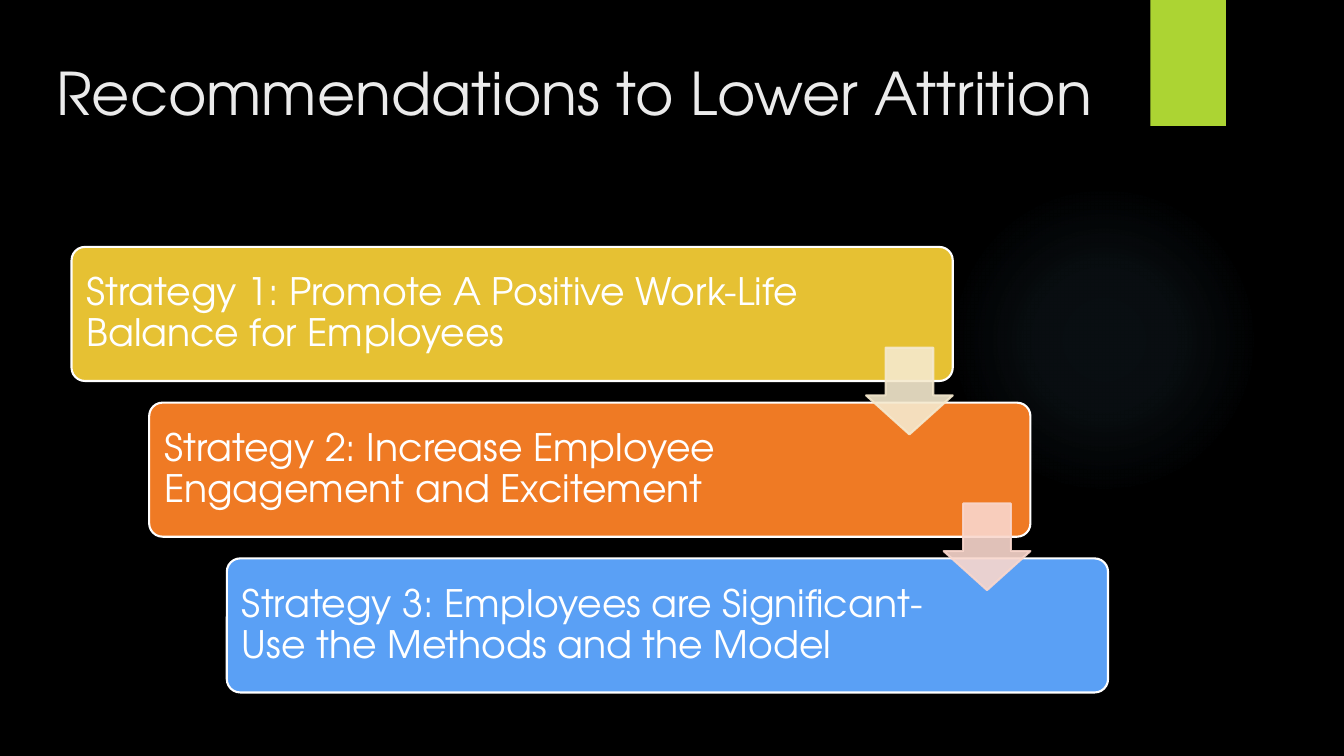
from pptx import Presentation
from pptx.dml.color import RGBColor
from pptx.enum.shapes import MSO_SHAPE
from pptx.enum.text import MSO_ANCHOR, PP_ALIGN
from pptx.oxml import parse_xml
from pptx.oxml.ns import nsdecls, qn
from pptx.util import Inches, Pt

ELLIPSE = MSO_SHAPE.OVAL
RECTANGLE = MSO_SHAPE.RECTANGLE
ROUNDED = MSO_SHAPE.ROUNDED_RECTANGLE
DOWN_ARROW = MSO_SHAPE.DOWN_ARROW
MIDDLE, TOP = MSO_ANCHOR.MIDDLE, MSO_ANCHOR.TOP
LEFT = PP_ALIGN.LEFT

FONT = "TeX Gyre Adventor"
COLORS = {
    "background": "000000",
    "glow": "7AC4F0",
    "tab": "ACD433",
    "title": "EBEBEB",
    "white": "FFFFFF",
}
STRATEGIES = [
    ("Strategy 1: Promote A Positive Work-Life Balance for Employees", "E6C133"),
    ("Strategy 2: Increase Employee Engagement and Excitement", "EF7A24"),
    ("Strategy 3: Employees are Significant-Use the Methods and the Model", "5AA0F5"),
]
ARROW_COLORS = ["F5E9CE", "F9D7CD"]
GLOW_STOPS = [(0, 7), (36, 6), (69, 0)]


def add_plain_shape(page, kind, left, top, width, height):
    """Add a shape without shadow or outline."""
    shape = page.shapes.add_shape(
        kind, Inches(left), Inches(top), Inches(width), Inches(height))
    shape.shadow.inherit = False
    shape.line.fill.background()
    return shape


def paint(shape, color, outline=None, opacity=None):
    """Fill a shape and optionally outline it and make both translucent."""
    shape.fill.solid()
    shape.fill.fore_color.rgb = RGBColor.from_string(color)
    if outline:
        shape.line.color.rgb = RGBColor.from_string(outline)
        shape.line.width = Pt(1.5)
    if opacity:
        for tone in shape._element.spPr.iter(qn("a:srgbClr")):
            tone.append(parse_xml(
                f'<a:alpha {nsdecls("a")} val="{opacity * 1000}"/>'))


def write_text(box, text, size, color, anchor):
    """Write one left-aligned paragraph into a box."""
    frame = box.text_frame
    frame.word_wrap = True
    frame.vertical_anchor = anchor
    para = frame.paragraphs[0]
    para.text = text
    para.alignment = LEFT
    para.font.name = FONT
    para.font.size = Pt(size)
    para.font.color.rgb = RGBColor.from_string(color)
    return para


def add_backdrop(page, left, top, size):
    """Colour the page and place the soft glow and the green tab."""
    page.background.fill.solid()
    page.background.fill.fore_color.rgb = RGBColor.from_string(COLORS["background"])
    glow = add_plain_shape(page, ELLIPSE, left, top, size, size)
    stops = "".join(
        f'<a:gs pos="{position * 1000}"><a:srgbClr val="{COLORS["glow"]}">'
        f'<a:alpha val="{opacity * 1000}"/></a:srgbClr></a:gs>'
        for position, opacity in GLOW_STOPS)
    gradient = parse_xml(
        f'<a:gradFill {nsdecls("a")}><a:gsLst>{stops}</a:gsLst><a:path path="circle">'
        '<a:fillToRect l="50000" t="50000" r="50000" b="50000"/></a:path></a:gradFill>')
    glow._element.spPr.find(qn("a:prstGeom")).addnext(gradient)
    paint(add_plain_shape(page, RECTANGLE, left + 2, 0, 0.75, 1.25), COLORS["tab"])


def add_title(page, left, top, width, height):
    """Place the slide title."""
    box = page.shapes.add_textbox(
        Inches(left), Inches(top), Inches(width), Inches(height))
    write_text(box, "Recommendations to Lower Attrition", 42, COLORS["title"], TOP)


def add_card(page, text, color, left, top, width, height):
    """Place one strategy card with its text."""
    card = add_plain_shape(page, ROUNDED, left, top, width, height)
    card.adjustments[0] = 0.1
    paint(card, color, COLORS["white"])
    para = write_text(card, text, 27, COLORS["white"], MIDDLE)
    para.line_spacing = 0.9
    frame = card.text_frame
    frame.margin_left = frame.margin_top = frame.margin_bottom = Inches(0.11)
    frame.margin_right = Inches(1.45)


def add_staircase(page, left, top, width, height):
    """Step the strategy cards down the box and link them with arrows."""
    step_x, step_y = 0.77, 1.545
    steps = len(STRATEGIES) - 1
    card_width, card_height = width - steps * step_x, height - steps * step_y
    arrow_size = 0.86
    for index, (text, color) in enumerate(STRATEGIES):
        add_card(page, text, color, left + index * step_x, top + index * step_y,
                 card_width, card_height)
    for index, color in enumerate(ARROW_COLORS):
        arrow = add_plain_shape(
            page, DOWN_ARROW, left + card_width - arrow_size + index * step_x,
            top + 1 + index * step_y, arrow_size, arrow_size)
        arrow.adjustments[0] = 0.55
        arrow.adjustments[1] = 0.45
        paint(arrow, color, color, 90)


def main():
    """Build the deck and save it."""
    deck = Presentation()
    deck.slide_width, deck.slide_height = Inches(13.33), Inches(7.5)
    page = deck.slides.add_slide(deck.slide_layouts[6])
    add_backdrop(page, 9.41, 1.83, 3.08)
    add_title(page, 0.46, 0.51, 10.77, 1.53)
    add_staircase(page, 0.71, 2.45, 10.28, 4.42)
    deck.save("out.pptx")


if __name__ == "__main__":
    main()
